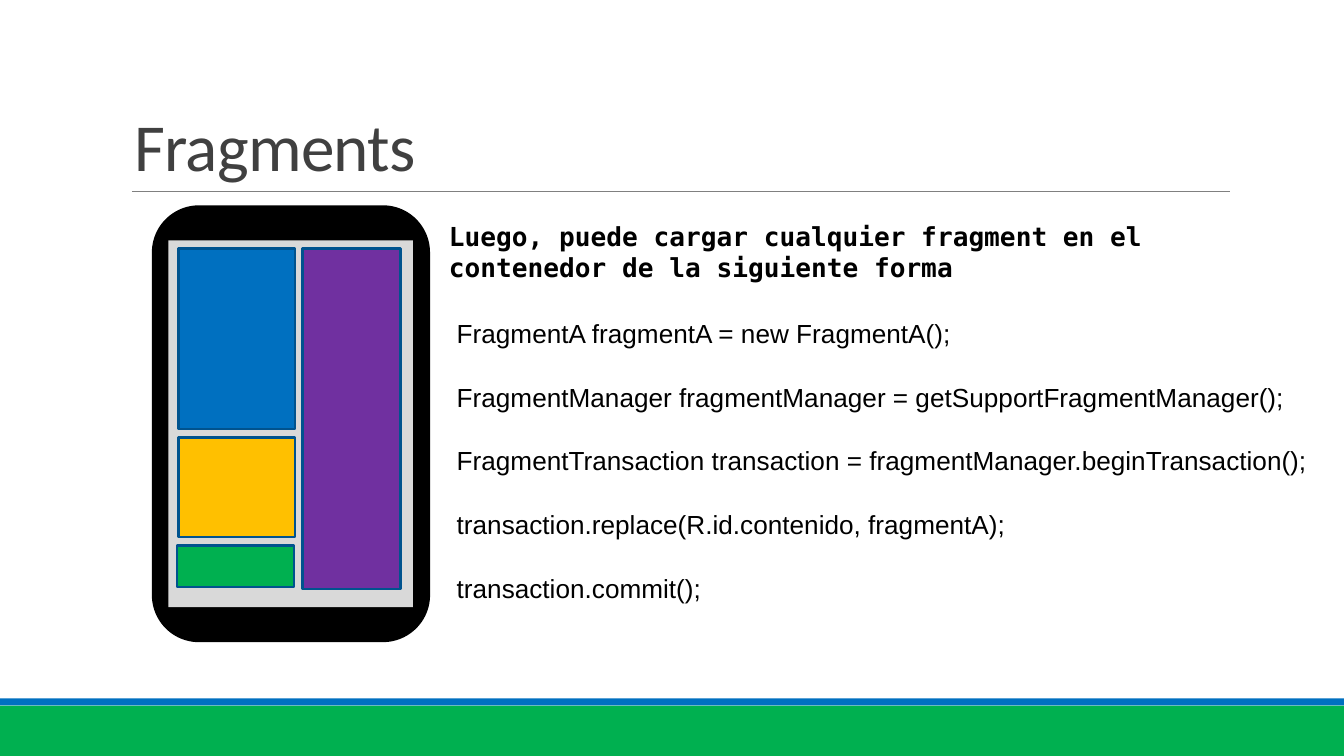
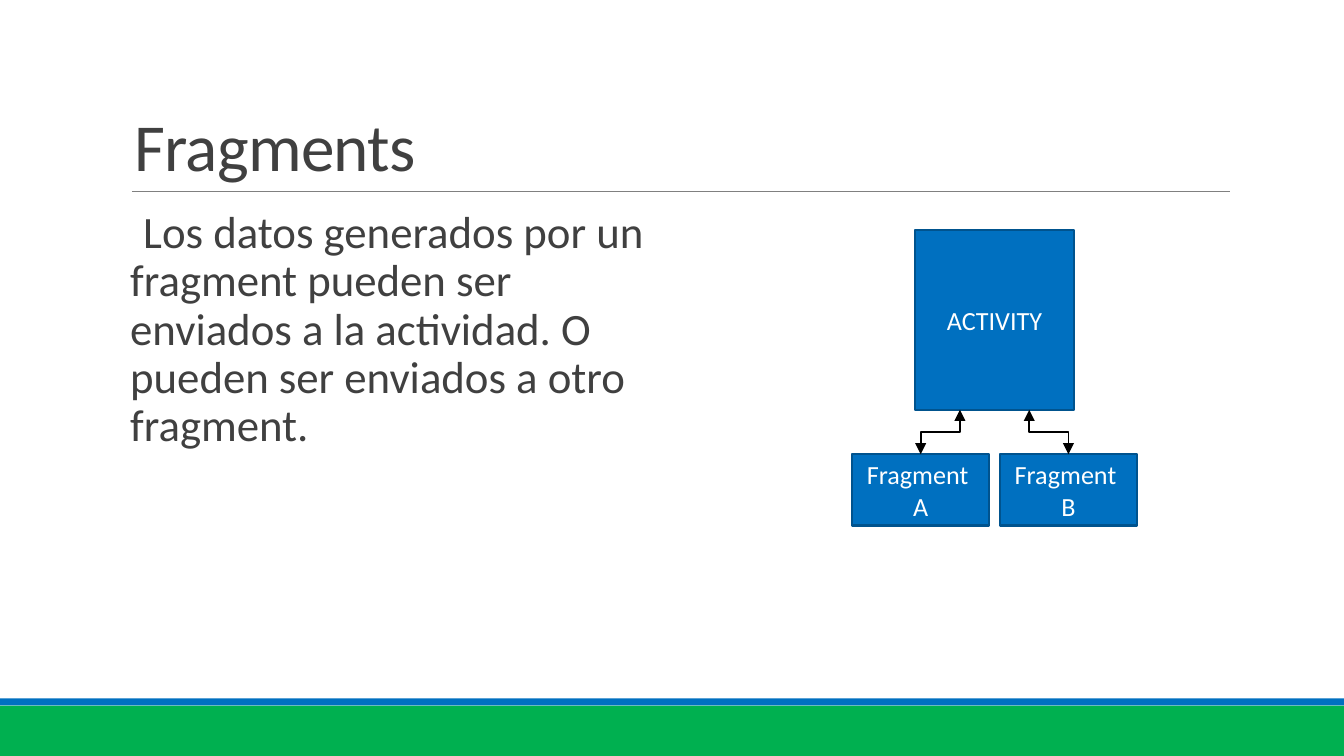
from lxml.etree import SubElement
from pptx import Presentation
from pptx.dml.color import RGBColor
from pptx.enum.shapes import MSO_CONNECTOR, MSO_SHAPE
from pptx.enum.text import MSO_ANCHOR, MSO_AUTO_SIZE, PP_ALIGN
from pptx.oxml.ns import qn
from pptx.util import Pt

BLUE, GREEN, PURPLE, AMBER = "0070C0", "00B050", "7030A0", "FFC000"
EDGE, TEXT, BLACK, WHITE = "00538E", "404040", "000000", "FFFFFF"

TITLE = {
    "color": TEXT,
    "frame": {"vertical_anchor": MSO_ANCHOR.BOTTOM, "auto_size": MSO_AUTO_SIZE.NONE},
    "paragraph": {"alignment": PP_ALIGN.LEFT, "line_spacing": 0.85},
    "font": {"name": "Calibri", "size": Pt(36)},
}
BODY = {
    "color": TEXT,
    "frame": {"margin_left": 0, "margin_right": 0},
    "paragraph": {"line_spacing": 0.9, "space_before": Pt(9), "space_after": Pt(1.5)},
    "font": {"name": "Calibri", "size": Pt(24)},
}
LEAD = {
    "color": BLACK,
    "frame": {"auto_size": MSO_AUTO_SIZE.SHAPE_TO_FIT_TEXT},
    "paragraph": {},
    "font": {"name": "DejaVu Sans Mono", "size": Pt(14), "bold": True},
}
CODE = {
    "color": BLACK,
    "frame": {"auto_size": MSO_AUTO_SIZE.SHAPE_TO_FIT_TEXT},
    "paragraph": {"space_after": Pt(17.4)},
    "font": {"name": "Arial", "size": Pt(14)},
}
LABEL = {
    "color": WHITE,
    "frame": {"vertical_anchor": MSO_ANCHOR.MIDDLE},
    "paragraph": {"alignment": PP_ALIGN.CENTER},
    "font": {"name": "Calibri", "size": Pt(14)},
}


def paint(fill, color):
    """Give a shape, line or font fill one solid hex colour."""
    fill.solid()
    fill.fore_color.rgb = RGBColor.from_string(color)


def write(frame, text, look):
    """Put text in a frame, one paragraph per line, in the given look."""
    frame.text = text
    frame.word_wrap = True
    targets = [(frame, look["frame"])]
    for paragraph in frame.paragraphs:
        targets += [(paragraph, look["paragraph"]), (paragraph.runs[0].font, look["font"])]
        paint(paragraph.runs[0].font.fill, look["color"])
    for target, values in targets:
        for name, value in values.items():
            setattr(target, name, value)


deck = Presentation()
deck.slide_width, deck.slide_height = Pt(720), Pt(405)
layout = deck.slide_layouts[5]
code_slide, data_slide = [deck.slides.add_slide(layout) for _ in range(2)]

# Titles
for slide in (code_slide, data_slide):
    title = slide.shapes.title
    title.left, title.top, title.width, title.height = Pt(64.8), Pt(17.3), Pt(594), Pt(85.7)
    write(title.text_frame, "Fragments", TITLE)
    title.text_frame.paragraphs[0].runs[0].font._element.set("spc", "-40")

# Footer bands and title rule, moved to the shared layout
for top, height, color in [(378, 27, GREEN), (374.2, 3.8, BLUE)]:
    band = code_slide.shapes.add_shape(MSO_SHAPE.RECTANGLE, 0, Pt(top), Pt(720), Pt(height))
    band.shadow.inherit = False
    paint(band.fill, color)
    band.line.fill.background()
    layout.shapes.element.append(band.element)
rule = code_slide.shapes.add_connector(
    MSO_CONNECTOR.STRAIGHT, Pt(70.6), Pt(102.6), Pt(658.8), Pt(102.6))
paint(rule.line.fill, "808080")
rule.line.width = Pt(0.5)
SubElement(rule.element.spPr, qn("a:effectLst"))
layout.shapes.element.append(rule.element)

# Phone with its fragments, and the activity diagram
RECT, ROUNDED = MSO_SHAPE.RECTANGLE, MSO_SHAPE.ROUNDED_RECTANGLE
activity_middle, activity_bottom, fragment_top = 532.8, 219.6, 243.4
fragment_width, fragment_offset = 73.4, 39.6
blocks = [
    (code_slide, ROUNDED, (82, 110.6, 147.8, 232.8), BLACK, BLACK, ""),
    (code_slide, RECT, (90.2, 128.8, 131, 196.4), "D9D9D9", None, ""),
    (code_slide, RECT, (95.6, 133.2, 62.6, 96.6), BLUE, EDGE, ""),
    (code_slide, RECT, (162, 133.2, 52.6, 182.4), PURPLE, EDGE, ""),
    (code_slide, RECT, (95.6, 234.4, 62.6, 53.2), AMBER, EDGE, ""),
    (code_slide, RECT, (95, 292.2, 62.6, 22.2), GREEN, EDGE, ""),
    (data_slide, RECT, (activity_middle - 42.5, 123.2, 85, 96.4), BLUE, EDGE, "ACTIVITY"),
]
for side, letter in [(-1, "A"), (1, "B")]:
    left = activity_middle + side * fragment_offset - fragment_width / 2
    blocks.append((data_slide, RECT, (left, fragment_top, fragment_width, 38.2),
                   BLUE, EDGE, f"Fragment \n{letter}"))
for slide, outline, place, color, edge, label in blocks:
    block = slide.shapes.add_shape(outline, *map(Pt, place))
    block.shadow.inherit = False
    paint(block.fill, color)
    if edge:
        paint(block.line.fill, edge)
        block.line.width = Pt(1.25)
    else:
        block.line.fill.background()
    if label:
        write(block.text_frame, label, LABEL)

# Text beside the phone, and the statement on data
code = "\n".join([
    "FragmentA fragmentA = new FragmentA();",
    "FragmentManager fragmentManager = getSupportFragmentManager();",
    "FragmentTransaction transaction = fragmentManager.beginTransaction();",
    "transaction.replace(R.id.contenido, fragmentA);",
    "transaction.commit();",
])
lead = "Luego, puede cargar cualquier fragment en el contenedor de la siguiente forma"
statement = ("Los datos generados por un fragment pueden ser enviados a la actividad. "
             "O pueden ser enviados a otro fragment.")
for slide, place, text, look in [
    (code_slide, (233.4, 114.4, 472.4, 41.2), lead, LEAD),
    (code_slide, (237.6, 166.4, 539.2, 160), code, CODE),
    (data_slide, (64.8, 108.8, 295.2, 237.6), statement, BODY),
]:
    passage = slide.shapes.add_textbox(*map(Pt, place))
    write(passage.text_frame, text, look)

# Hanging indent with a blank bullet for the statement, the last passage
indent = passage.text_frame.paragraphs[0]._p.get_or_add_pPr()
indent.set("marL", str(Pt(5)))
indent.set("indent", str(Pt(-5)))
bullet_color = SubElement(indent, qn("a:buClr"))
SubElement(bullet_color, qn("a:srgbClr")).set("val", BLUE)
SubElement(indent, qn("a:buChar")).set("char", " ")

# Two-way elbow arrows: laid flat around their centre, then turned upright
middle_y = (activity_bottom + fragment_top) / 2
half_rise = (fragment_top - activity_bottom) / 2
tip_offset = 18.6
half_run = (fragment_offset - tip_offset) / 2
for side, turn in [(-1, 90), (1, 270)]:
    middle_x = activity_middle + side * (fragment_offset + tip_offset) / 2
    arrow = data_slide.shapes.add_connector(
        MSO_CONNECTOR.ELBOW,
        Pt(middle_x - side * half_rise), Pt(middle_y + half_run),
        Pt(middle_x + side * half_rise), Pt(middle_y - half_run))
    arrow.element.spPr.find(qn("a:xfrm")).set("rot", str(turn * 60000))
    paint(arrow.line.fill, BLACK)
    arrow.line.width = Pt(1)
    for end in ("a:headEnd", "a:tailEnd"):
        SubElement(arrow.line._get_or_add_ln(), qn(end)).set("type", "triangle")
    SubElement(arrow.element.spPr, qn("a:effectLst"))

deck.save("out.pptx")
